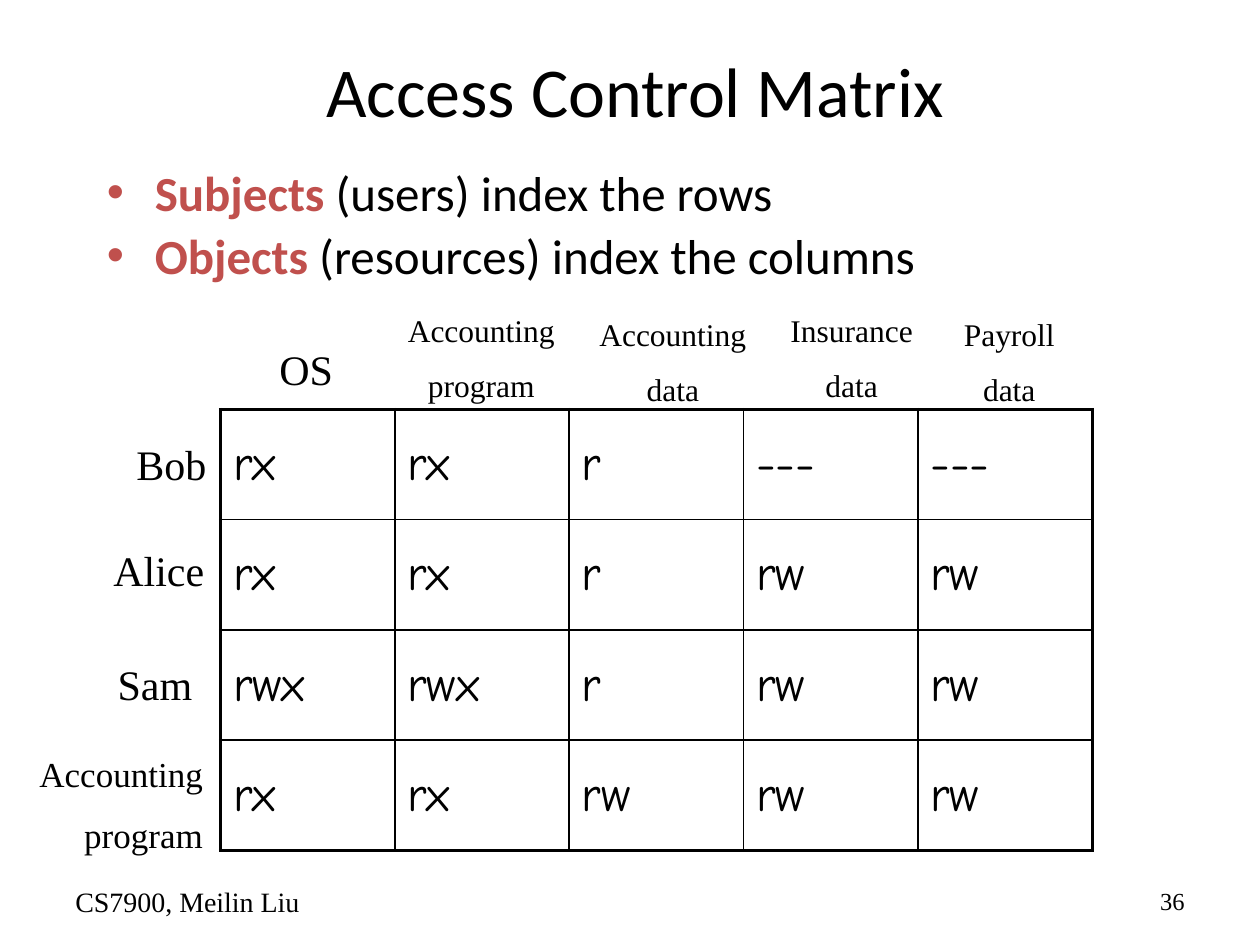
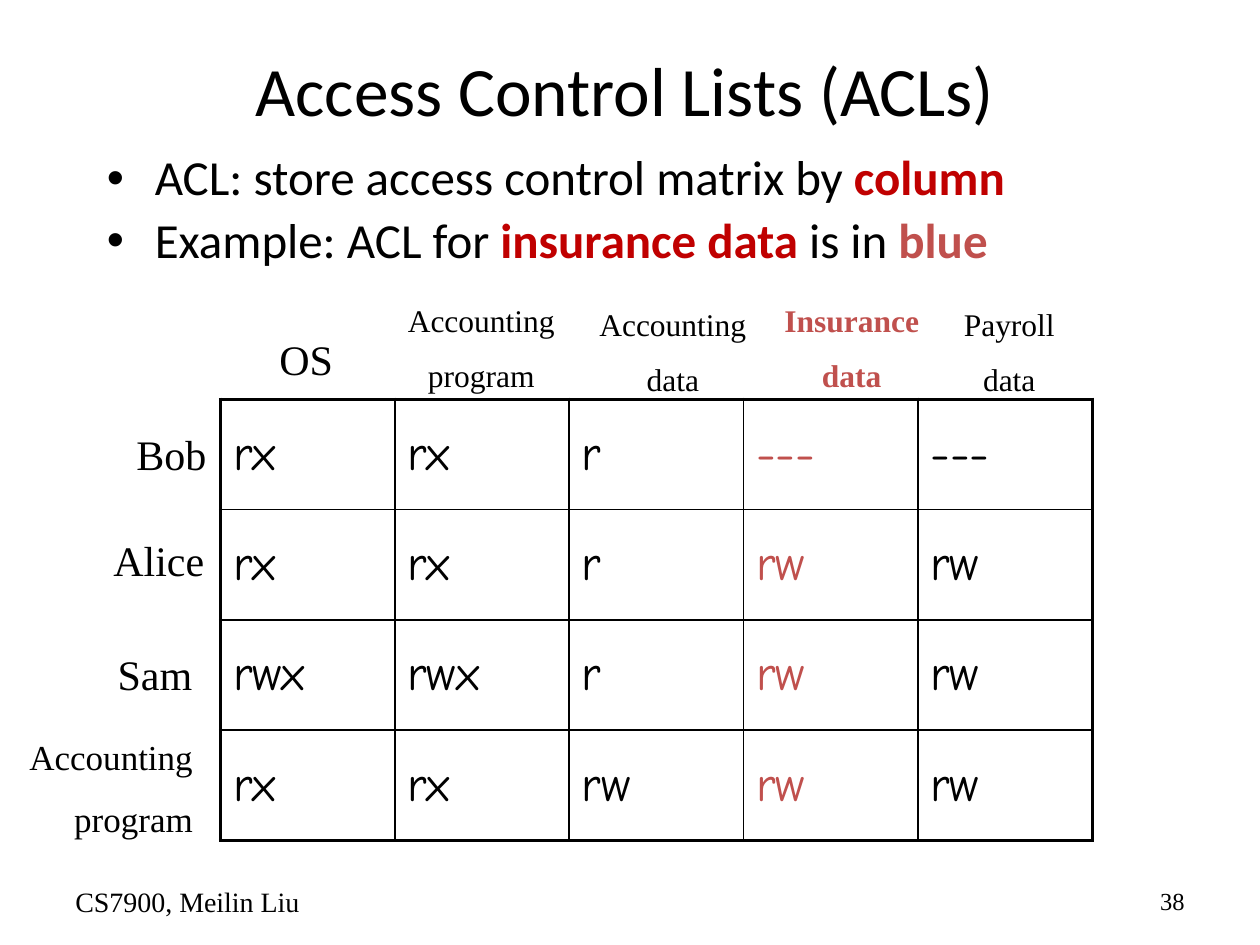
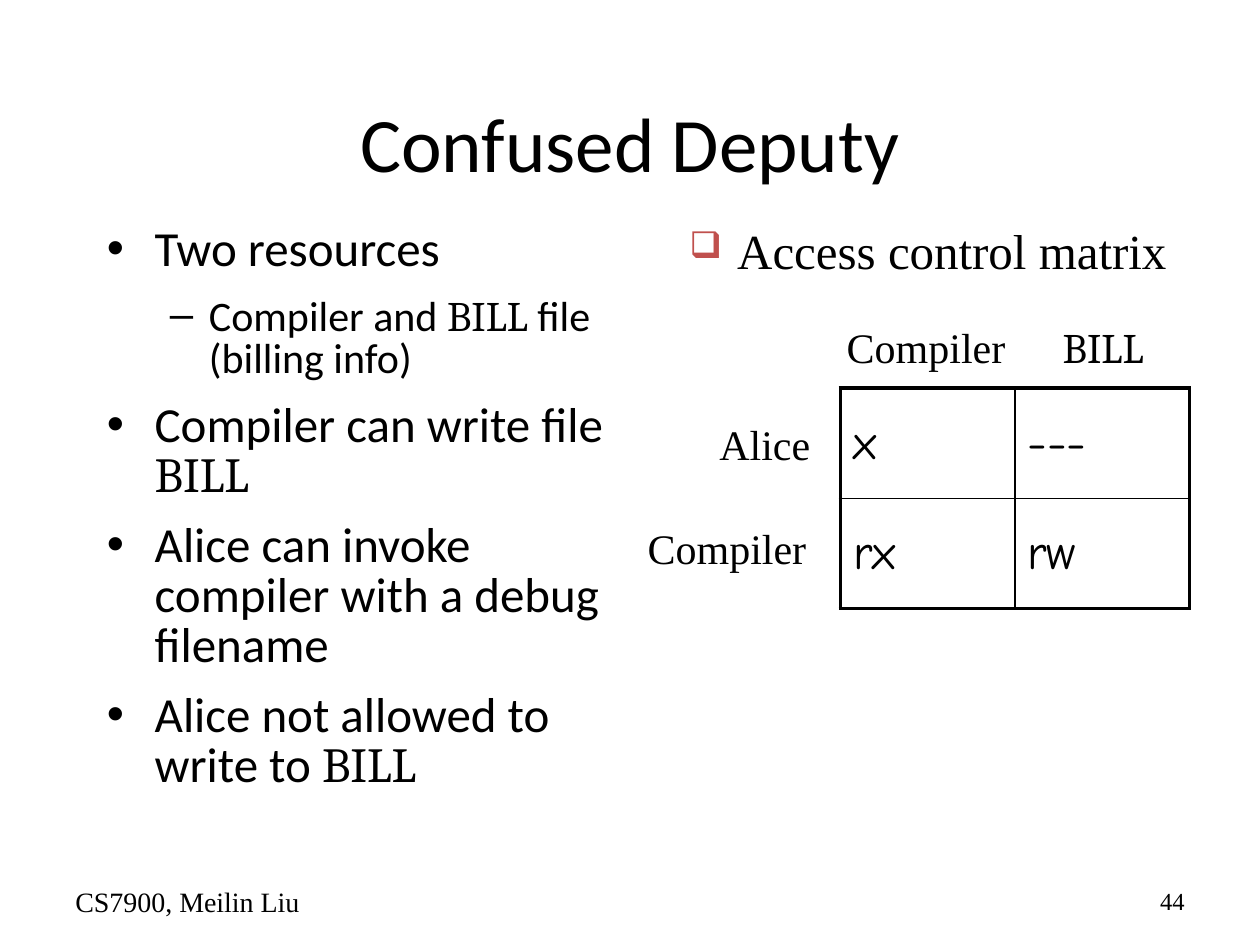
from lxml import etree
from pptx import Presentation
from pptx import util as u
from pptx.dml import color
from pptx.enum import text as t
from pptx.oxml import ns

BLACK, ROSE, RED = "000000", "C0504D", "C00000"
SANS, SERIF, HAND, BILL = "Calibri", "Times New Roman", "Comic Neue", "Cambria"
LEFT, MID, RIGHT = t.PP_ALIGN.LEFT, t.PP_ALIGN.CENTER, t.PP_ALIGN.RIGHT
THICK, THIN = 2.25, 1

RIGHTS = ["rx rx r --- ---", "rx rx r rw rw", "rwx rwx r rw rw", "rx rx rw rw rw"]
# Column heads and row names: lines, left, top relative to the table, width
HEADS = [
    (["OS"], 2.08, -0.57, 0.7),
    (["Accounting", "program"], 3.08, -0.83, 1.48),
    (["Accounting", "data"], 4.6, -0.8, 1.48),
    (["Insurance", "data"], 6.08, -0.83, 1.36),
    (["Payroll", "data"], 7.52, -0.8, 0.98),
]
NAMES = [("Bob", 0.97, 0.18, 0.78), ("Alice", 0.77, 1.02, 0.98), ("Sam", 0.8, 1.93, 0.86)]


def rgb(code):
    return color.RGBColor.from_string(code)


def put(par, words, size, face=SANS, tint=BLACK, bold=False):
    """Add one run."""
    run = par.add_run()
    run.text = words
    font = run.font
    font.size, font.name, font.bold = u.Pt(size), face, bold
    font.color.rgb = rgb(tint)


def node(parent, tag, **attrs):
    item = etree.SubElement(parent, ns.qn(tag))
    for key, val in attrs.items():
        item.set(key, str(val))
    return item


def bullet(par, mark, tint, left, hang, scale=100):
    """Give a paragraph a hanging bullet."""
    props = par._p.get_or_add_pPr()
    props.set("marL", str(u.Inches(left)))
    props.set("indent", str(-u.Inches(hang)))
    node(node(props, "a:buClr"), "a:srgbClr", val=tint)
    node(props, "a:buSzPct", val=scale * 1000)
    if mark != "❑":
        node(props, "a:buFont", typeface="Arial")
    node(props, "a:buChar", char=mark)


def box(slide, x, y, w, h, wrap=True, anchor=t.MSO_ANCHOR.TOP):
    shape = slide.shapes.add_textbox(*map(u.Inches, (x, y, w, h)))
    frame = shape.text_frame
    frame.word_wrap = wrap
    frame.vertical_anchor = anchor
    return frame


def pars(frame, items):
    """Yield one paragraph for each item, starting with the empty first one."""
    for i, item in enumerate(items):
        yield i, frame.paragraphs[0] if i == 0 else frame.add_paragraph(), item


def label(slide, lines, x, y, w, h, size=24, align=MID, **style):
    """Write a short label that fits its text."""
    frame = box(slide, x, y, w, h, wrap=False)
    frame.auto_size = t.MSO_AUTO_SIZE.SHAPE_TO_FIT_TEXT
    for i, par, line in pars(frame, lines):
        par.alignment = align
        if i:
            par.space_before = u.Pt(size * 0.55)
        put(par, line, size, **{"face": SERIF, **style})


def points(slide, spot, items, lead, gap, after=0):
    """Write a bulleted list; each item is a level and its runs."""
    frame = box(slide, *spot)
    for i, par, (level, runs) in pars(frame, items):
        tint = runs[0][1].get("tint", BLACK)
        if level:
            bullet(par, "–", tint, 0.81, 0.31)
        else:
            bullet(par, "•", tint, 0.38, 0.38)
        par.level = level
        par.line_spacing = lead
        par.space_after = u.Pt(after)
        if i:
            par.space_before = u.Pt(gap)
        for words, style in runs:
            put(par, words, 24 if level else 28, **style)


def edge(cell, sides):
    """Draw the four borders of a cell."""
    props = cell._tc.get_or_add_tcPr()
    for side, width in sides.items():
        line = node(props, "a:ln" + side, w=u.Pt(width))
        node(node(line, "a:solidFill"), "a:srgbClr", val=BLACK)


def grid(slide, rows, x, y, w, h, hot=None):
    """Draw a rights table; the hot column is coloured."""
    rows = [row.split() for row in rows]
    high, wide = len(rows), len(rows[0])
    table = slide.shapes.add_table(high, wide, *map(u.Inches, (x, y, w, h))).table
    table.first_row = table.horz_banding = False
    for r, row in enumerate(rows):
        for c, words in enumerate(row):
            cell = table.cell(r, c)
            edge(cell, {
                "L": THIN if c else THICK,
                "R": THIN if c < wide - 1 else THICK,
                "T": THIN if r else THICK,
                "B": THIN if r < high - 1 else THICK,
            })
            cell.fill.background()
            cell.vertical_anchor = t.MSO_ANCHOR.MIDDLE
            put(cell.text_frame.paragraphs[0], words, 28, HAND, ROSE if c == hot else BLACK)


def matrix(slide, top, foot, hot=None):
    """Draw the full matrix with its heads and row names."""
    grid(slide, RIGHTS, 1.75, top, 6.92, 3.5, hot)
    for c, (lines, x, y, w) in enumerate(HEADS):
        style = {"tint": ROSE, "bold": True} if c == hot else {}
        h, size = (0.57, 24) if len(lines) == 1 else (0.8, 18)
        label(slide, lines, x, top + y, w, h, size, **style)
    for name, x, y, w in NAMES:
        label(slide, [name], x, top + y, w, 0.57)
    label(slide, ["Accounting", "program"], *foot, 1.63, 0.88, 20, RIGHT)


def start(deck, words, spot, size, page):
    """Add a slide with its title and footer."""
    slide = deck.slides.add_slide(deck.slide_layouts[5])
    title = slide.shapes.title
    title.left, title.top, title.width, title.height = map(u.Inches, spot)
    frame = title.text_frame
    frame.auto_size = t.MSO_AUTO_SIZE.NONE
    frame.vertical_anchor = t.MSO_ANCHOR.MIDDLE
    par = frame.paragraphs[0]
    par.alignment = MID
    put(par, words, size)
    notes = [("CS7900, Meilin Liu", 0.5, 16, LEFT), (str(page), 7.17, 14, RIGHT)]
    for note, x, points_high, align in notes:
        par = box(slide, x, 6.95, 2.33, 0.4, anchor=t.MSO_ANCHOR.MIDDLE).paragraphs[0]
        par.alignment = align
        put(par, note, points_high, SERIF)
    return slide


def whole(deck):
    slide = start(deck, "Access Control Matrix", (0.33, 0.25, 9.42, 0.92), 40, 36)
    key = {"tint": ROSE, "bold": True}
    points(slide, (0.75, 1.33, 8.75, 1.08), [
        (0, [("Subjects", key), (" (users) index the rows", {})]),
        (0, [("Objects", key), (" (resources) index the columns", {})]),
    ], 0.8, 9)
    matrix(slide, 3.25, (0.08, 5.92))


def lists(deck):
    slide = start(deck, "Access Control Lists (ACLs)", (0.67, 0.33, 8.58, 0.75), 39.6, 38)
    key = {"tint": RED, "bold": True}
    points(slide, (0.75, 1.17, 8.58, 1.25), [
        (0, [("ACL: store access control matrix by ", {}), ("column", key)]),
        (0, [("Example: ACL for ", {}), ("insurance data ", key), ("is in ", {}),
             ("blue", {"tint": ROSE, "bold": True})]),
    ], 0.9, 5.5)
    matrix(slide, 3.17, (0, 5.79), hot=3)


def deputy(deck):
    slide = start(deck, "Confused Deputy", (0.75, 0.5, 8.5, 1.25), 44, 44)
    bill = ("BILL", {"face": BILL})
    points(slide, (0.75, 1.75, 4.17, 4.92), [
        (0, [("Two resources", {})]),
        (1, [("Compiler and ", {}), bill, (" file (billing info)", {})]),
        (0, [("Compiler can write file ", {}), bill]),
        (0, [("Alice can invoke compiler with a debug filename", {})]),
        (0, [("Alice not allowed to write to ", {}), bill]),
    ], 0.85, 5.5, 6)

    # Small matrix with its heading
    par = box(slide, 5.03, 1.75, 4.67, 0.83).paragraphs[0]
    bullet(par, "❑", ROSE, 0.38, 0.38, 75)
    par.alignment = MID
    par.line_spacing = 0.9
    put(par, "Access control matrix", 28, SERIF)
    grid(slide, ["x ---", "rx rw"], 6.67, 3.08, 2.77, 1.75)
    label(slide, ["Compiler"], 6.58, 2.5, 1.54, 0.57)
    label(slide, ["BILL"], 8.31, 2.5, 0.89, 0.5, face=BILL)
    label(slide, ["Alice"], 5.58, 3.27, 0.98, 0.57)
    label(slide, ["Compiler"], 5, 4.1, 1.54, 0.57)


def main():
    deck = Presentation()
    deck.slide_width, deck.slide_height = u.Inches(10), u.Inches(7.5)
    whole(deck)
    lists(deck)
    deputy(deck)
    deck.save("out.pptx")


if __name__ == "__main__":
    main()
